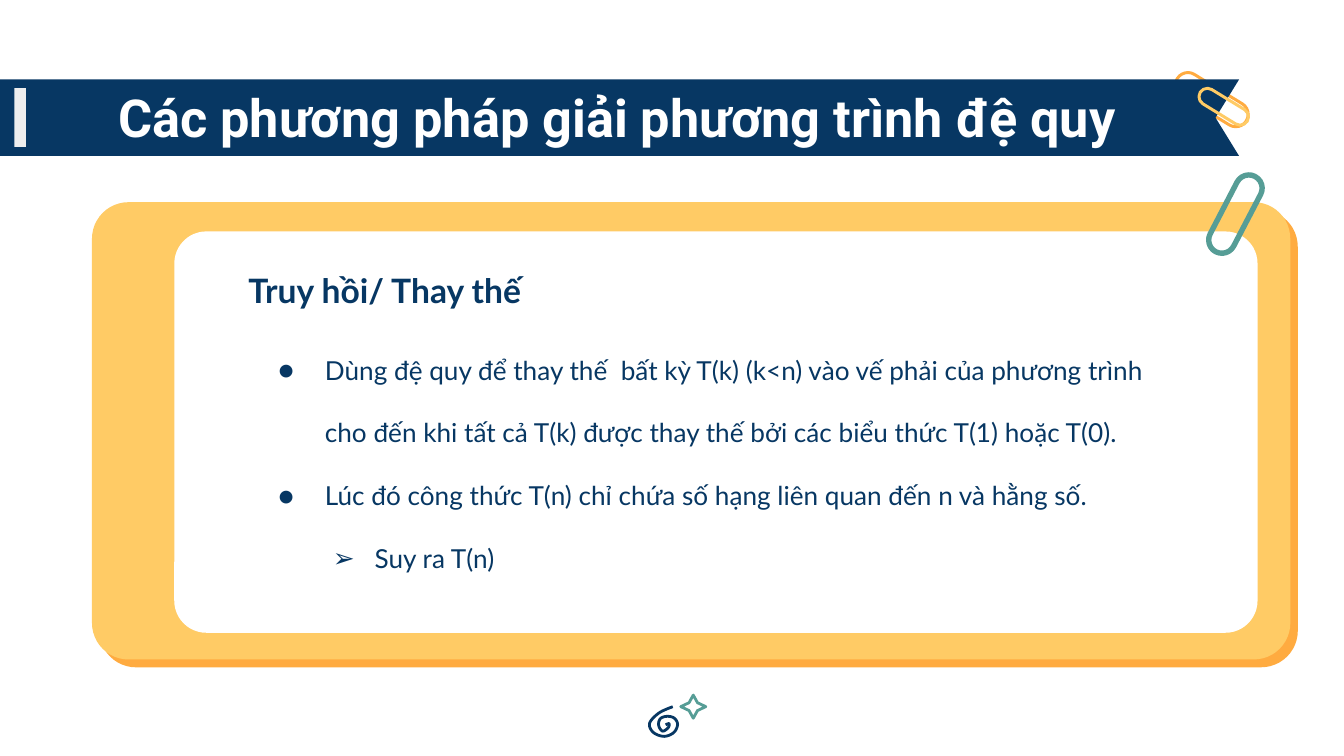
from lxml import etree
from pptx import Presentation
from pptx.dml.color import RGBColor
from pptx.enum.shapes import MSO_SHAPE as Shape
from pptx.enum.text import MSO_ANCHOR as Anchor
from pptx.oxml.ns import qn
from pptx.util import Pt

COLORS = {
    "navy": "073763",
    "orange": "FFAB40",
    "yellow": "FFCB65",
    "teal": "569D96",
    "gray": "EEEEEE",
    "white": "FFFFFF",
}


def paint(part, fill=None, line=None, width=1.5):
    part.shadow.inherit = False
    if fill:
        part.fill.solid()
        part.fill.fore_color.rgb = RGBColor.from_string(COLORS[fill])
    else:
        part.fill.background()
    if line:
        part.line.color.rgb = RGBColor.from_string(COLORS[line])
        part.line.width = Pt(width)
    else:
        part.line.fill.background()


def write(box, paragraphs, font, size, color, bold, anchor, spacing):
    left, top, width, height = box
    frame = slide.shapes.add_textbox(Pt(left), Pt(top), Pt(width), Pt(height)).text_frame
    frame.word_wrap = True
    frame.vertical_anchor = anchor
    frame.margin_left = frame.margin_right = Pt(7.2)
    frame.margin_top = frame.margin_bottom = Pt(7.2)
    for index, (words, bullet, margin, indent) in enumerate(paragraphs):
        paragraph = frame.paragraphs[0] if index == 0 else frame.add_paragraph()
        paragraph.line_spacing = spacing
        run = paragraph.add_run()
        run.text = words
        run.font.name = font
        run.font.size = Pt(size)
        run.font.bold = bold
        run.font.color.rgb = RGBColor.from_string(COLORS[color])
        properties = paragraph._p.get_or_add_pPr()
        properties.set("marL", str(Pt(margin)))
        properties.set("indent", str(Pt(indent)))
        if bullet:
            bullet_color = etree.SubElement(properties, qn("a:buClr"))
            etree.SubElement(bullet_color, qn("a:srgbClr"), val=COLORS[color])
            etree.SubElement(properties, qn("a:buFont"), typeface=font)
            etree.SubElement(properties, qn("a:buChar"), char=bullet)


presentation = Presentation()
presentation.slide_width = Pt(720)
presentation.slide_height = Pt(405)
slide = presentation.slides.add_slide(presentation.slide_layouts[6])

clips = [
    (649.2, 53.4, 43.4, 13.3, 31.5, "orange", 1.6),
    (655.6, 57.2, 29.6, 9, 31.5, "yellow", 1.6),
    (661.8, 114.7, 45.5, 14.2, 117.5, "teal", 2.9),
]
banner = [(0, 42.6), (0, 83.6), (663.8, 83.6), (651.2, 63.1), (663.8, 42.6)]
cards = [
    (53.3, 112.5, 642, 245, "orange"),
    (49.3, 108.3, 642, 245, "yellow"),
    (93.4, 124, 580.3, 215, "white"),
]

for order, (center_x, center_y, length, breadth, angle, color, width) in enumerate(clips):
    if order == 1:
        builder = slide.shapes.build_freeform(Pt(banner[0][0]), Pt(banner[0][1]))
        builder.add_line_segments([(Pt(x), Pt(y)) for x, y in banner[1:]])
        paint(builder.convert_to_shape(), fill="navy")
        accent = slide.shapes.add_shape(Shape.RECTANGLE, Pt(7.7), Pt(47.2), Pt(6.2), Pt(31.5))
        paint(accent, fill="gray")
    if order == 2:
        for left, top, card_width, height, card_color in cards:
            card = slide.shapes.add_shape(
                Shape.ROUNDED_RECTANGLE, Pt(left), Pt(top), Pt(card_width), Pt(height))
            card.adjustments[0] = 0.08
            paint(card, fill=card_color)
    clip = slide.shapes.add_shape(
        Shape.ROUNDED_RECTANGLE, Pt(center_x - length / 2), Pt(center_y - breadth / 2),
        Pt(length), Pt(breadth))
    clip.adjustments[0] = 0.5
    clip.rotation = angle
    paint(clip, line=color, width=width)

knots = [
    (360.4, 378.6), (353, 382), (348, 387.5), (350, 392.4), (355.8, 394.5),
    (361, 392.4), (363, 388), (361, 384.6), (357, 383.8), (353.6, 385.2),
    (352.9, 388.8), (355, 391.7), (358, 389.8), (358.4, 387.7), (356.4, 388.4),
]
padded = [knots[0]] + knots + [knots[-1]]
spiral = []
for a, b, c, d in zip(padded, padded[1:], padded[2:], padded[3:]):
    for step in range(8):
        t = step / 8
        spiral.append(tuple(
            Pt(0.5 * (2 * q + (r - p) * t + (2 * p - 5 * q + 4 * r - s) * t**2
                      + (3 * q - p - 3 * r + s) * t**3))
            for p, q, r, s in zip(a, b, c, d)))
builder = slide.shapes.build_freeform(*spiral[0])
builder.add_line_segments(spiral[1:], close=False)
paint(builder.convert_to_shape(), line="navy")

sparkle = slide.shapes.add_shape(Shape.STAR_4_POINT, Pt(364.7), Pt(372.4), Pt(13.4), Pt(12.4))
sparkle.adjustments[0] = 0.24
paint(sparkle, line="teal")

write((56.2, 43.9, 607.7, 37.4),
      [("Các phương pháp giải phương trình đệ quy", None, 0, 0)],
      "Roboto", 28, "white", True, Anchor.MIDDLE, 1.0)
write((115.2, 128.9, 444.2, 31.7),
      [("Truy hồi/ Thay thế", None, 10.8, 0)],
      "Lato", 18, "navy", True, Anchor.MIDDLE, 2.0)
write((131, 165.6, 509.8, 168.5), [
    ("Dùng đệ quy để thay thế  bất kỳ T(k) (k<n) vào vế phải của phương trình "
     "cho đến khi tất cả T(k) được thay thế bởi các biểu thức T(1) hoặc T(0).", "●", 36, -25),
    ("Lúc đó công thức T(n) chỉ chứa số hạng liên quan đến n và hằng số.", "●", 36, -25),
    ("Suy ra T(n)", "➢", 62.6, -22.3),
], "Lato", 14, "navy", False, Anchor.TOP, 2.0)

presentation.save("out.pptx")
